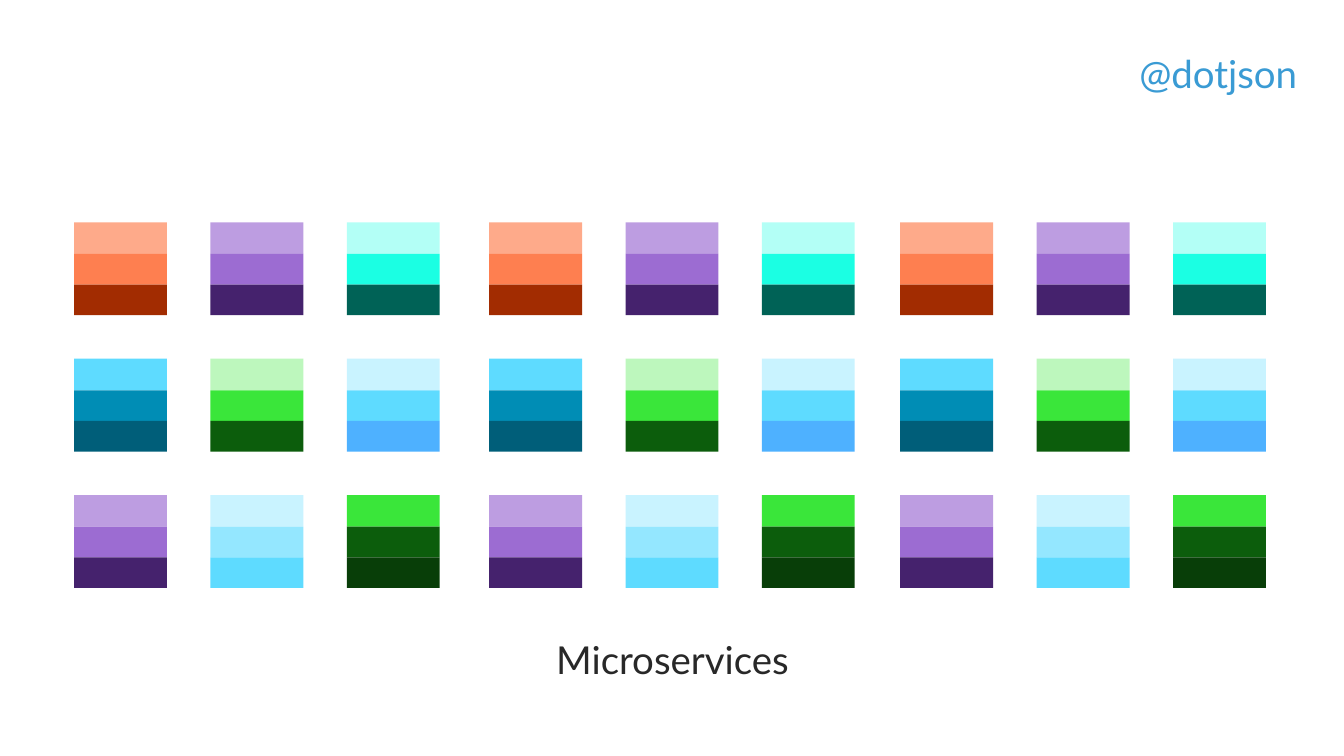
from pptx import Presentation
from pptx.dml.color import RGBColor
from pptx.enum.shapes import MSO_SHAPE
from pptx.enum.text import MSO_ANCHOR, MSO_AUTO_SIZE, PP_ALIGN
from pptx.util import Inches, Pt

HANDLE = "@dotjson"
TITLE = "Microservices"
PURPLE = ("BD9DE1", "9C6CD2", "45226D")
SERVICES = [
    [("FEAA8A", "FE7F50", "A22C01"), PURPLE, ("B3FFF6", "1BFFE3", "006256")],
    [("5EDBFF", "008DB5", "005E79"), ("BDF7BD", "3AE63A", "0C5D0C"), ("C9F3FF", "5EDBFF", "4EB1FF")],
    [PURPLE, ("C9F3FF", "94E7FF", "5EDBFF"), ("3AE63A", "0C5D0C", "083E08")],
]
CLUSTER_LEFTS = (0.75, 4.95, 9.11)
GRID_TOP = 2.25
SERVICE_STEP = 1.38
BAND_WIDTH = 0.94
BANDS = ((0, 0.32), (0.32, 0.31), (0.63, 0.31))


def color(value):
    return RGBColor.from_string(value)


def write_text(shape, text, ink, inset_x, inset_y, align=PP_ALIGN.LEFT,
               anchor=MSO_ANCHOR.TOP, space_after=0):
    frame = shape.text_frame
    frame.word_wrap = True
    frame.auto_size = MSO_AUTO_SIZE.NONE
    frame.vertical_anchor = anchor
    frame.margin_left = frame.margin_right = Inches(inset_x)
    frame.margin_top = frame.margin_bottom = Inches(inset_y)
    paragraph = frame.paragraphs[0]
    paragraph.alignment = align
    paragraph.line_spacing = 0.9
    paragraph.space_after = Pt(space_after)
    run = paragraph.add_run()
    run.text = text
    run.font.name = "Lato"
    run.font.size = Pt(28)
    run.font.color.rgb = color(ink)


def add_service(group, left, top, shades):
    for (offset, height), shade in zip(BANDS, shades):
        band = group.shapes.add_shape(
            MSO_SHAPE.RECTANGLE, Inches(left), Inches(top + offset),
            Inches(BAND_WIDTH), Inches(height))
        band.shadow.inherit = False
        band.fill.solid()
        band.fill.fore_color.rgb = color(shade)
        band.line.fill.background()


def main():
    presentation = Presentation()
    presentation.slide_width = Inches(13.6)
    presentation.slide_height = Inches(7.65)
    slide = presentation.slides.add_slide(presentation.slide_layouts[5])

    handle = slide.shapes.add_textbox(Inches(11.37), Inches(0.44), Inches(2.33), Inches(0.78))
    write_text(handle, HANDLE, "3A9BD4", 0.16, 0.12)

    title = slide.shapes.title
    title.left, title.top = Inches(4.52), Inches(6.33)
    title.width, title.height = Inches(4.57), Inches(0.75)
    write_text(title, TITLE, "282828", 0.2, 0.16, align=PP_ALIGN.CENTER, space_after=6)

    for cluster_left in CLUSTER_LEFTS:
        cluster = slide.shapes.add_group_shape()
        for row, services in enumerate(SERVICES):
            for column, shades in enumerate(services):
                add_service(cluster, cluster_left + column * SERVICE_STEP,
                            GRID_TOP + row * SERVICE_STEP, shades)

    presentation.save("out.pptx")


if __name__ == "__main__":
    main()
